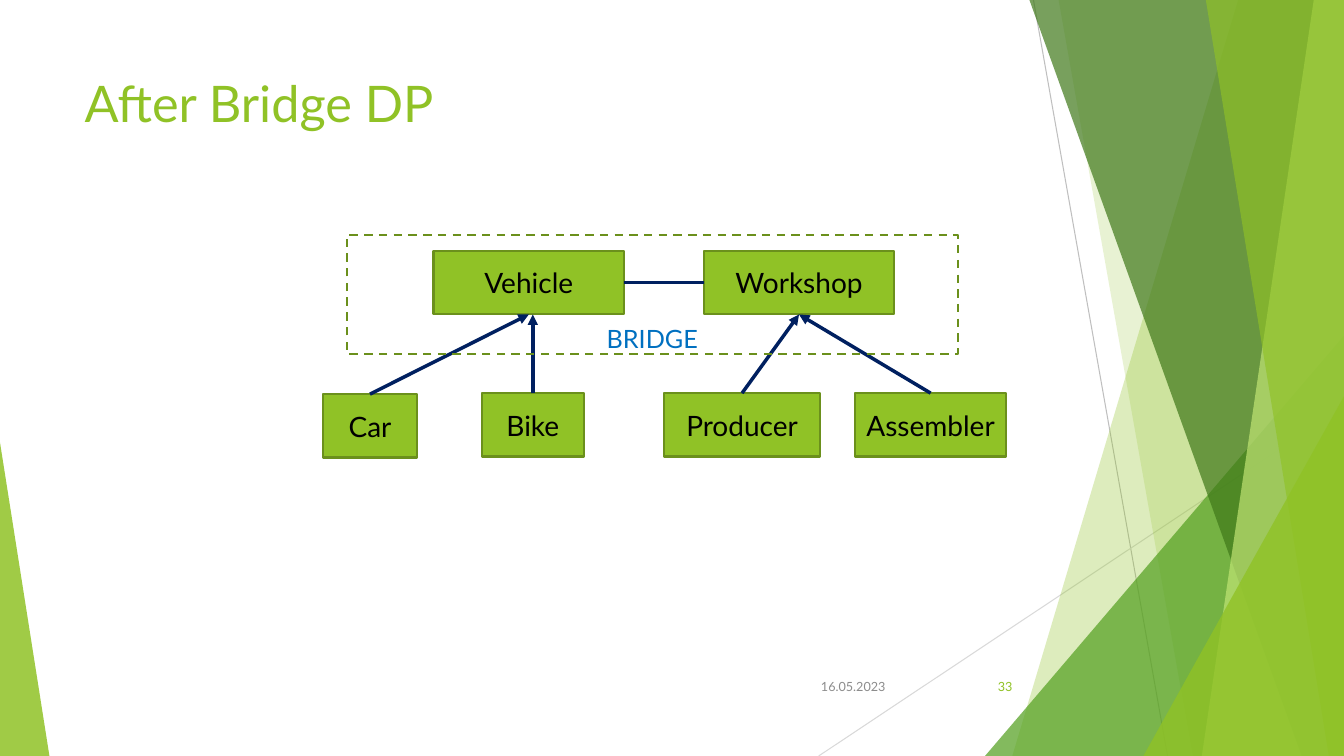
from dataclasses import dataclass

from lxml.etree import SubElement
from pptx import Presentation
from pptx.dml.color import RGBColor
from pptx.enum.dml import MSO_LINE as Dash
from pptx.enum.shapes import MSO_CONNECTOR as Connector, MSO_SHAPE as Shape
from pptx.enum.text import MSO_ANCHOR as Anchor, PP_ALIGN as Align
from pptx.oxml.ns import qn
from pptx.util import Inches, Pt

FONT = "Lato"
WIDTH, HEIGHT = 13.33, 7.5
LIME = RGBColor(0x90, 0xC2, 0x26)
PALE_LIME = RGBColor(0xC0, 0xE4, 0x74)
GREEN = RGBColor(0x54, 0xA0, 0x21)
DARK_GREEN = RGBColor(0x3F, 0x78, 0x19)
OLIVE = RGBColor(0x6B, 0x90, 0x1C)
NAVY = RGBColor(0x00, 0x20, 0x60)
BLUE = RGBColor(0x00, 0x70, 0xC0)
BLACK = RGBColor(0, 0, 0)
GRAY = RGBColor(0x8C, 0x8C, 0x8C)
MID_GRAY = RGBColor(0xBF, 0xBF, 0xBF)
LIGHT_GRAY = RGBColor(0xD9, 0xD9, 0xD9)


@dataclass
class Facet:
    """Full-height band reaching the right edge of the slide."""
    top_x: float
    bottom_x: float
    color: RGBColor
    opacity: int


@dataclass
class Corner:
    """Right-angled triangle standing on the bottom edge."""
    left: float
    width: float
    height: float
    apex: float
    color: RGBColor
    opacity: int


@dataclass
class ClassBox:
    name: str
    left: float
    top: float
    width: float


@dataclass
class Inheritance:
    child: str
    parent: str
    upright: bool = False


@dataclass
class FooterField:
    text: str
    left: float
    width: float
    color: RGBColor


DECOR = [
    Facet(12.28, 10.04, LIME, 30),
    Facet(10.5, 11.83, LIME, 20),
    Corner(9.77, 3.56, 4.17, 1, GREEN, 72),
    Facet(10.21, 12.91, DARK_GREEN, 70),
    Facet(13.03, 11.92, PALE_LIME, 70),
    Facet(11.96, 13.18, LIME, 65),
    Corner(11.34, 1.99, 3.57, 1, LIME, 80),
    Corner(0, 0.49, 3.11, 0, LIME, 85),
]
CLASSES = [
    ClassBox("Vehicle", 4.3, 2.49, 1.89),
    ClassBox("Workshop", 6.98, 2.49, 1.89),
    ClassBox("Bike", 4.78, 3.9, 1.01),
    ClassBox("Car", 3.2, 3.91, 0.94),
    ClassBox("Assembler", 8.48, 3.9, 1.5),
    ClassBox("Producer", 6.59, 3.9, 1.54),
]
INHERITANCES = [
    Inheritance("Car", "Vehicle"),
    Inheritance("Bike", "Vehicle", upright=True),
    Inheritance("Producer", "Workshop"),
    Inheritance("Assembler", "Workshop"),
]
FOOTER = [
    FooterField("16.05.2023", 7.88, 1, GRAY),
    FooterField("33", 9.39, 0.75, LIME),
]
TOP_SITE, LEFT_SITE, BOTTOM_SITE, RIGHT_SITE = range(4)


def write(shape, text: str, size: float, color: RGBColor, align, anchor) -> None:
    frame = shape.text_frame
    frame.word_wrap = True
    frame.vertical_anchor = anchor
    frame.text = text
    para = frame.paragraphs[0]
    para.alignment = align
    para.font.name, para.font.size = FONT, Pt(size)
    para.font.color.rgb = color


def fill_clear(shape, color: RGBColor, opacity: int) -> None:
    shape.shadow.inherit = False
    shape.line.fill.background()
    shape.fill.solid()
    shape.fill.fore_color.rgb = color
    tint = shape.fill._xPr.find(qn("a:solidFill"))[0]
    SubElement(tint, qn("a:alpha"), val=str(opacity * 1000))


def add_facet(slide, facet: Facet) -> None:
    outline = slide.shapes.build_freeform(Inches(facet.top_x), 0)
    corners = [(WIDTH, 0), (WIDTH, HEIGHT), (facet.bottom_x, HEIGHT)]
    outline.add_line_segments([(Inches(x), Inches(y)) for x, y in corners])
    fill_clear(outline.convert_to_shape(), facet.color, facet.opacity)


def add_corner(slide, corner: Corner) -> None:
    triangle = slide.shapes.add_shape(
        Shape.ISOSCELES_TRIANGLE, Inches(corner.left), Inches(HEIGHT - corner.height),
        Inches(corner.width), Inches(corner.height))
    triangle.adjustments[0] = corner.apex
    fill_clear(triangle, corner.color, corner.opacity)


def add_line(slide, start: tuple, end: tuple, color: RGBColor, weight: float):
    line = slide.shapes.add_connector(
        Connector.STRAIGHT, *(Inches(value) for value in (*start, *end)))
    line.line.color.rgb = color
    line.line.width = Pt(weight)
    SubElement(line._element.spPr, qn("a:effectLst"))
    return line


def add_box(slide, left: float, top: float, width: float, height: float):
    box = slide.shapes.add_shape(
        Shape.RECTANGLE, Inches(left), Inches(top), Inches(width), Inches(height))
    box.shadow.inherit = False
    box.line.color.rgb = OLIVE
    box.line.width = Pt(1.5)
    return box


def add_class(slide, item: ClassBox):
    box = add_box(slide, item.left, item.top, item.width, 0.63)
    box.fill.solid()
    box.fill.fore_color.rgb = LIME
    write(box, item.name, 20, BLACK, Align.CENTER, Anchor.MIDDLE)
    box.text_frame.margin_left = box.text_frame.margin_right = Inches(0.05)
    return box


def add_inheritance(slide, link: Inheritance, boxes: dict) -> None:
    child, parent = boxes[link.child], boxes[link.parent]
    center = (child.left + child.width / 2) / Inches(1)
    parent_bottom = (parent.top + parent.height) / Inches(1)
    arrow = add_line(slide, (center, child.top / Inches(1)),
                     (center, parent_bottom), NAVY, 2.5)
    arrow.begin_connect(child, TOP_SITE)
    if not link.upright:
        arrow.end_connect(parent, BOTTOM_SITE)
    SubElement(arrow.line._get_or_add_ln(), qn("a:tailEnd"), type="triangle")


def main() -> None:
    deck = Presentation()
    deck.slide_width, deck.slide_height = Inches(WIDTH), Inches(HEIGHT)
    page = deck.slides.add_slide(deck.slide_layouts[5])

    # Background decoration
    add_line(page, (10.25, 0), (11.58, HEIGHT), MID_GRAY, 0.75)
    add_line(page, (WIDTH, 4.03), (8.12, HEIGHT), LIGHT_GRAY, 0.75)
    for piece in DECOR:
        if isinstance(piece, Facet):
            add_facet(page, piece)
        else:
            add_corner(page, piece)

    # Title and footer
    title = page.shapes.title
    title.left, title.top = Inches(0.74), Inches(0.67)
    title.width, title.height = Inches(9.4), Inches(1.44)
    write(title, "After Bridge DP", 36, LIME, Align.LEFT, Anchor.TOP)
    for field in FOOTER:
        box = page.shapes.add_textbox(
            Inches(field.left), Inches(6.61), Inches(field.width), Inches(0.4))
        write(box, field.text, 9, field.color, Align.RIGHT, Anchor.MIDDLE)

    # Class diagram
    boxes = {item.name: add_class(page, item) for item in CLASSES}
    bridge = add_line(page, (6.19, 2.81), (6.98, 2.81), NAVY, 2.5)
    bridge.begin_connect(boxes["Vehicle"], RIGHT_SITE)
    bridge.end_connect(boxes["Workshop"], LEFT_SITE)
    for link in INHERITANCES:
        add_inheritance(page, link, boxes)

    # Dashed frame around the bridge
    frame = add_box(page, 3.44, 2.33, 6.06, 1.18)
    frame.fill.background()
    frame.line.dash_style = Dash.DASH
    write(frame, "BRIDGE", 18, BLUE, Align.CENTER, Anchor.BOTTOM)
    frame.text_frame.margin_bottom = 0

    deck.save("out.pptx")


if __name__ == "__main__":
    main()
